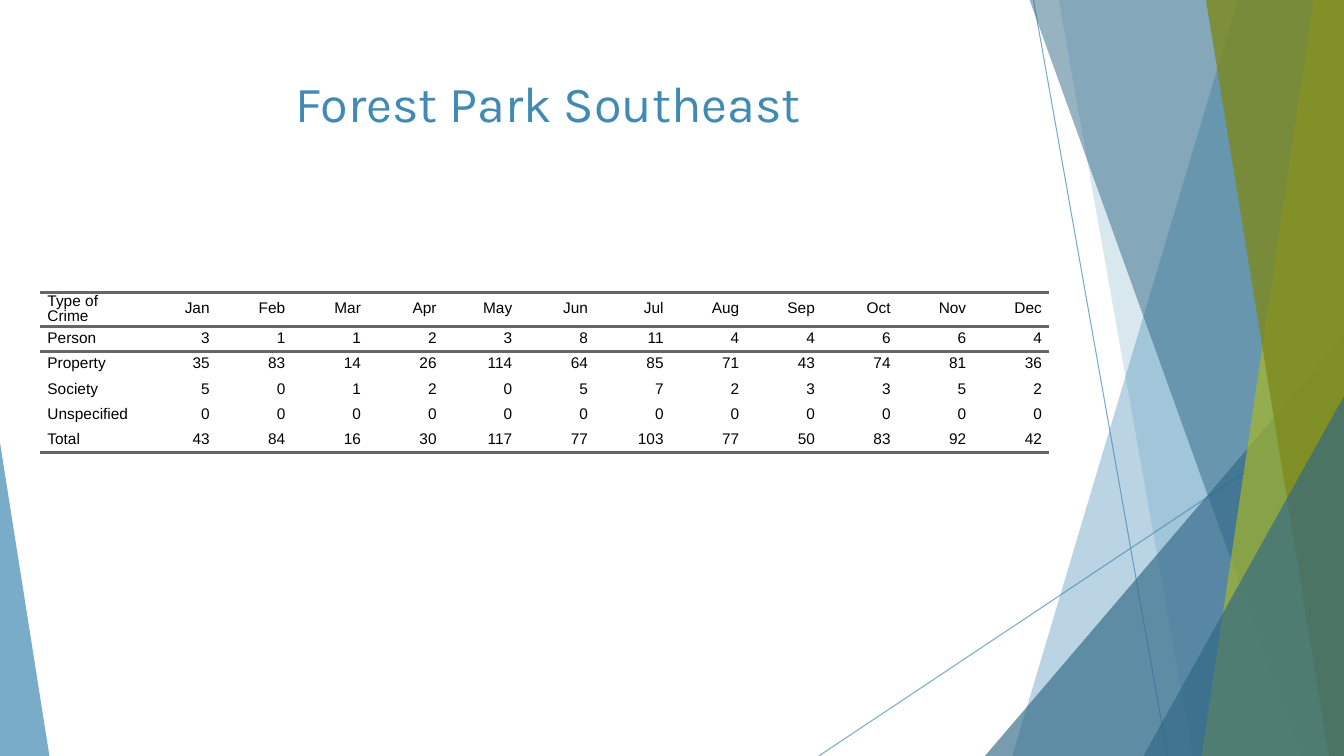
from lxml.etree import SubElement
from pptx import Presentation
from pptx.dml.color import RGBColor
from pptx.enum.shapes import MSO_CONNECTOR, MSO_SHAPE
from pptx.enum.text import MSO_ANCHOR, PP_ALIGN
from pptx.oxml import parse_xml
from pptx.oxml.ns import nsdecls, qn
from pptx.util import Inches, Pt

BLUE, DARK_BLUE = "418AB3", "316886"
LIME, OLIVE = "A6B727", "7D891D"
BLACK, GREY = "000000", "666666"
NO_TABLE_STYLE = "{2D5ABB26-0587-4C30-8999-92F81FD0307C}"

MONTHS = ["Jan", "Feb", "Mar", "Apr", "May", "Jun",
          "Jul", "Aug", "Sep", "Oct", "Nov", "Dec"]
CRIMES = {
    "Person": [3, 1, 1, 2, 3, 8, 11, 4, 4, 6, 6, 4],
    "Property": [35, 83, 14, 26, 114, 64, 85, 71, 43, 74, 81, 36],
    "Society": [5, 0, 1, 2, 0, 5, 7, 2, 3, 3, 5, 2],
    "Unspecified": [0] * len(MONTHS),
}


def color(hex_string):
    return RGBColor.from_string(hex_string)


class CrimeSlide:
    """Draws on one slide; lengths are percentages of its width and height."""

    title_font, table_font = "Karla", "Arial"
    title_size, table_size = Pt(36), Pt(11)

    def __init__(self, presentation):
        self.width = presentation.slide_width
        self.height = presentation.slide_height
        self.slide = presentation.slides.add_slide(presentation.slide_layouts[6])
        self.shapes = self.slide.shapes

    def across(self, percent):
        return round(self.width * percent / 100)

    def down(self, percent):
        return round(self.height * percent / 100)

    def box(self, left, top, width, height):
        return (self.across(left), self.down(top),
                self.across(width), self.down(height))

    def set_opacity(self, properties, percent):
        for rgb in properties.iter(qn("a:srgbClr")):
            SubElement(rgb, qn("a:alpha"), val=str(percent * 1000))

    def paint(self, shape, fill, opacity):
        shape.shadow.inherit = False
        shape.fill.solid()
        shape.fill.fore_color.rgb = color(fill)
        shape.line.fill.background()
        self.set_opacity(shape.fill._xPr, opacity)

    def line(self, start, end):
        connector = self.shapes.add_connector(
            MSO_CONNECTOR.STRAIGHT, self.across(start[0]), self.down(start[1]),
            self.across(end[0]), self.down(end[1]))
        connector.line.color.rgb = color(BLUE)
        connector.line.width = Pt(0.75)
        properties = connector._element.spPr
        self.set_opacity(properties, 70)
        SubElement(properties, qn("a:effectLst"))

    def facet(self, top_left, bottom_left, fill, opacity):
        """Draw a full-height panel that reaches the right edge of the slide."""
        top = self.down(-0.1)
        right, bottom = self.width, self.height
        builder = self.shapes.build_freeform(self.across(top_left), top)
        builder.add_line_segments(
            [(right, top), (right, bottom), (self.across(bottom_left), bottom)])
        self.paint(builder.convert_to_shape(), fill, opacity)

    def corner(self, left, top, width, apex, fill, opacity):
        """Draw a triangle standing on the bottom edge, its apex at 0 or 1."""
        triangle = self.shapes.add_shape(
            MSO_SHAPE.ISOSCELES_TRIANGLE, *self.box(left, top, width, 100 - top))
        triangle.adjustments[0] = apex
        self.paint(triangle, fill, opacity)

    def title(self, text, left, top, width, height):
        frame = self.shapes.add_textbox(*self.box(left, top, width, height)).text_frame
        frame.word_wrap = True
        frame.vertical_anchor = MSO_ANCHOR.TOP
        paragraph = frame.paragraphs[0]
        paragraph.text = text
        paragraph.alignment = PP_ALIGN.CENTER
        self.set_font(paragraph, self.title_font, self.title_size, BLUE)

    def set_font(self, paragraph, name, size, text_color):
        paragraph.font.name = name
        paragraph.font.size = size
        paragraph.font.color.rgb = color(text_color)

    def table(self, rows, left, top, column_widths, row_heights):
        frame = self.shapes.add_table(
            len(rows), len(column_widths),
            *self.box(left, top, sum(column_widths), sum(row_heights)))
        table = frame.table
        table.first_row = table.horz_banding = False
        table._tbl.tblPr.find(qn("a:tableStyleId")).text = NO_TABLE_STYLE
        for column, width in zip(table.columns, column_widths):
            column.width = self.across(width)
        for row, height in zip(table.rows, row_heights):
            row.height = self.down(height)
        ruled_sides = {0: ["lnT", "lnB"], 1: ["lnT"], len(rows) - 1: ["lnB"]}
        for row_index, values in enumerate(rows):
            for column_index, value in enumerate(values):
                cell = table.cell(row_index, column_index)
                alignment = PP_ALIGN.RIGHT if column_index else PP_ALIGN.LEFT
                self.fill_cell(cell, str(value), alignment)
                self.rule_cell(cell, ruled_sides.get(row_index, []))

    def fill_cell(self, cell, text, alignment):
        cell.fill.background()
        cell.vertical_anchor = MSO_ANCHOR.MIDDLE
        cell.margin_left = cell.margin_right = self.across(0.53)
        cell.margin_top = cell.margin_bottom = 0
        paragraph = cell.text_frame.paragraphs[0]
        paragraph.text = text
        paragraph.alignment = alignment
        paragraph.line_spacing = 0.9
        self.set_font(paragraph, self.table_font, self.table_size, BLACK)

    def rule_cell(self, cell, sides):
        for position, side in enumerate(sides):
            border = parse_xml(
                f'<a:{side} {nsdecls("a")} w="{Pt(2)}"><a:solidFill>'
                f'<a:srgbClr val="{GREY}"/></a:solidFill></a:{side}>')
            cell._tc.get_or_add_tcPr().insert(position, border)


def main():
    presentation = Presentation()
    presentation.slide_width, presentation.slide_height = Inches(13.33), Inches(7.5)
    slide = CrimeSlide(presentation)

    slide.line((76.9, 0), (86.87, 100))
    slide.line((100, 53.73), (60.92, 100))
    slide.facet(92.12, 75.32, BLUE, 36)
    slide.facet(78.77, 88.75, BLUE, 20)
    slide.corner(73.29, 44.4, 26.71, 1, DARK_BLUE, 66)
    slide.facet(76.59, 96.85, DARK_BLUE, 50)
    slide.facet(97.75, 89.42, LIME, 70)
    slide.facet(89.72, 98.87, OLIVE, 80)
    slide.corner(85.07, 52.4, 14.93, 1, DARK_BLUE, 66)
    slide.corner(0, 58.53, 3.68, 0, BLUE, 70)

    totals = [sum(month) for month in zip(*CRIMES.values())]
    rows = [["Type of Crime", *MONTHS],
            *([crime, *counts] for crime, counts in CRIMES.items()),
            ["Total", *totals]]
    slide.table(rows, left=3, top=38.67,
                column_widths=[7.5] + [5.63] * len(MONTHS),
                row_heights=[4.5] + [3.34] * (len(rows) - 1))
    slide.title("Forest Park Southeast", 5.55, 8.93, 70.52, 19.2)
    presentation.save("out.pptx")


if __name__ == "__main__":
    main()
